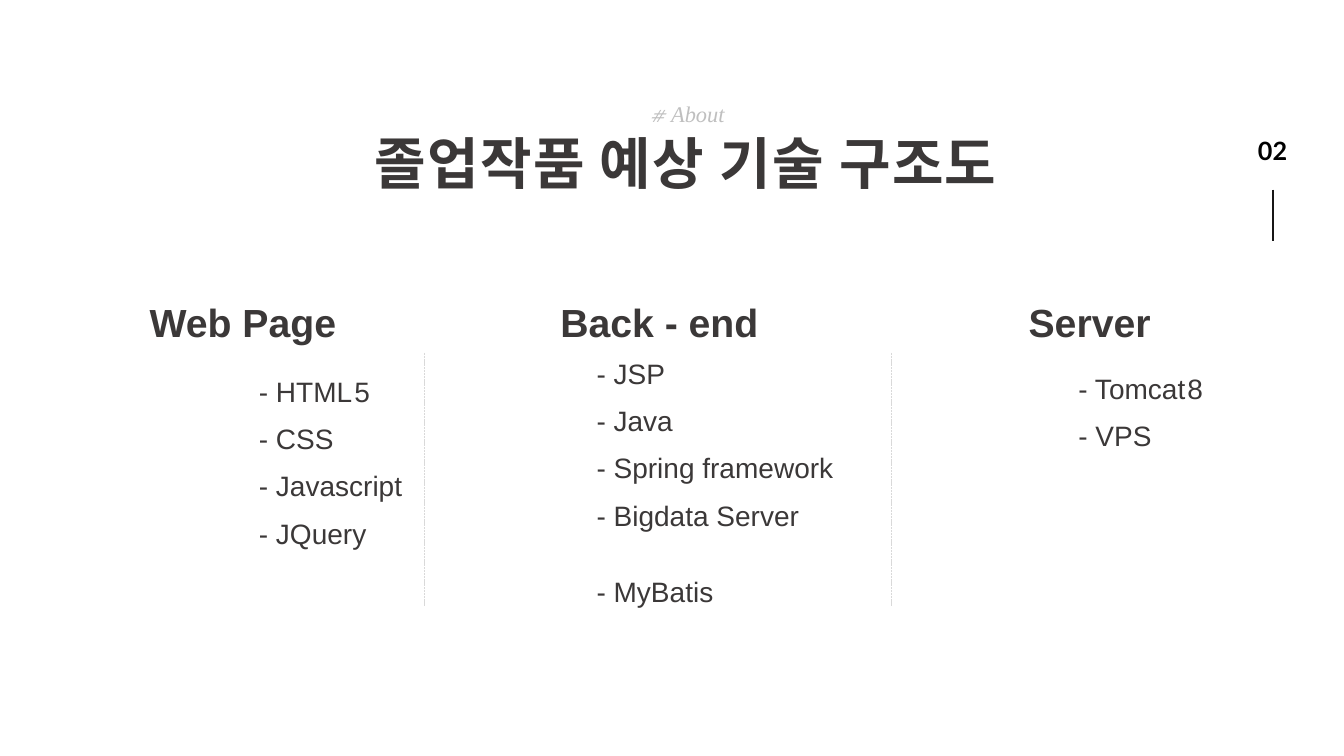
from lxml import etree
from pptx import Presentation
from pptx import util as u
from pptx.dml.color import RGBColor
from pptx.enum import dml, shapes, text
from pptx.oxml import ns

COLORS = {"ink": "3B3838", "soft": "BFBFBF", "rule": "D9D9D9",
          "black": "000000", "mark": "181717"}
ALIGN = text.PP_ALIGN


class Deck:
    """Holds the style and the current slide; all lengths are in points."""

    def __init__(self):
        self.prs = Presentation()
        self.prs.slide_width = u.Pt(960)
        self.prs.slide_height = u.Pt(540)
        self.slide = self.prs.slides.add_slide(self.prs.slide_layouts[6])

    def box(self, left, top, width, height, wrap=True):
        area = [u.Pt(n) for n in (left, top, width, height)]
        frame = self.slide.shapes.add_textbox(*area).text_frame
        frame.word_wrap = wrap
        return frame

    def run(self, para, words, size, face="Arial", color="ink",
            bold=False, italic=False):
        run = para.add_run()
        run.text = words
        font = run.font
        font.name, font.size = face, u.Pt(size)
        font.bold, font.italic = bold, italic
        font.color.rgb = RGBColor.from_string(COLORS[color])
        return run

    def line(self, left, top, end, color, width, dash=None):
        """Draws a vertical line from top to end."""
        line = self.slide.shapes.add_connector(
            shapes.MSO_CONNECTOR.STRAIGHT,
            u.Pt(left), u.Pt(top), u.Pt(left), u.Pt(end))
        line.line.color.rgb = RGBColor.from_string(COLORS[color])
        line.line.width = u.Pt(width)
        if dash:
            line.line.dash_style = dash
        etree.SubElement(line._element.spPr, ns.qn("a:effectLst"))

    def center(self, left, top, width, height, spacing):
        para = self.box(left, top, width, height).paragraphs[0]
        para.alignment = ALIGN.CENTER
        para.line_spacing = spacing
        return para

    def head(self, left, words):
        para = self.center(left, 225.4, 236.2, 29.5, u.Pt(18))
        self.run(para, words, 28, bold=True)

    def items(self, left, top, width, height, rows):
        """Lists rows of (gap before, name, version)."""
        frame = self.box(left, top, width, height)
        for i, (gap, name, version) in enumerate(rows):
            para = frame.add_paragraph() if i else frame.paragraphs[0]
            para.line_spacing = 0.5
            if i:
                para.space_before = u.Pt(gap)
            self.run(para, "- " + name, 20)
            if version:
                self.run(para, " ", 5)
                self.run(para, version, 20)


def main():
    deck = Deck()

    page = deck.box(891.4, 92.9, 46, 28.8, wrap=False).paragraphs[0]
    deck.run(page, "02", 18, "Lato", "black", bold=True)
    deck.line(909.4, 135.4, 172.1, "mark", 1.5)

    title = deck.center(177.8, 93.6, 624.2, 64.1, 0.9)
    run = deck.run(title, "졸업작품 예상 기술 구조도", 40, bold=True)
    run.font._element.set("spc", "100")

    about = deck.center(334.8, 69.8, 311.8, 29.5, u.Pt(18))
    for words, size, face in (("#", 12, "Manrope"), (" ", 20, "Calibri"),
                              ("About", 16, "Times New Roman")):
        deck.run(about, words, size, face, "soft", italic=True)

    for left in (303.1, 636.5):
        deck.line(left, 252, 432.7, "rule", 0.5, dml.MSO_LINE.SQUARE_DOT)

    gap, wide = 21.75, 42.8
    columns = (
        (55.4, "Web Page", (177.8, 274.3, 133.2, 157.7),
         ((0, "HTML", "5"), (gap, "CSS", ""), (gap, "Javascript", ""),
          (gap, "JQuery", ""))),
        (352.8, "Back - end", (419, 261.4, 217.4, 233.3),
         ((0, "JSP", ""), (gap, "Java", ""), (gap, "Spring framework", ""),
          (gap, "Bigdata Server", ""), (wide, "MyBatis", ""))),
        (660.2, "Server", (763.2, 272.2, 182.9, 149),
         ((0, "Tomcat", "8"), (gap, "VPS", ""))),
    )
    for left, name, area, rows in columns:
        deck.head(left, name)
        deck.items(*area, rows)

    deck.prs.save("out.pptx")


if __name__ == "__main__":
    main()
